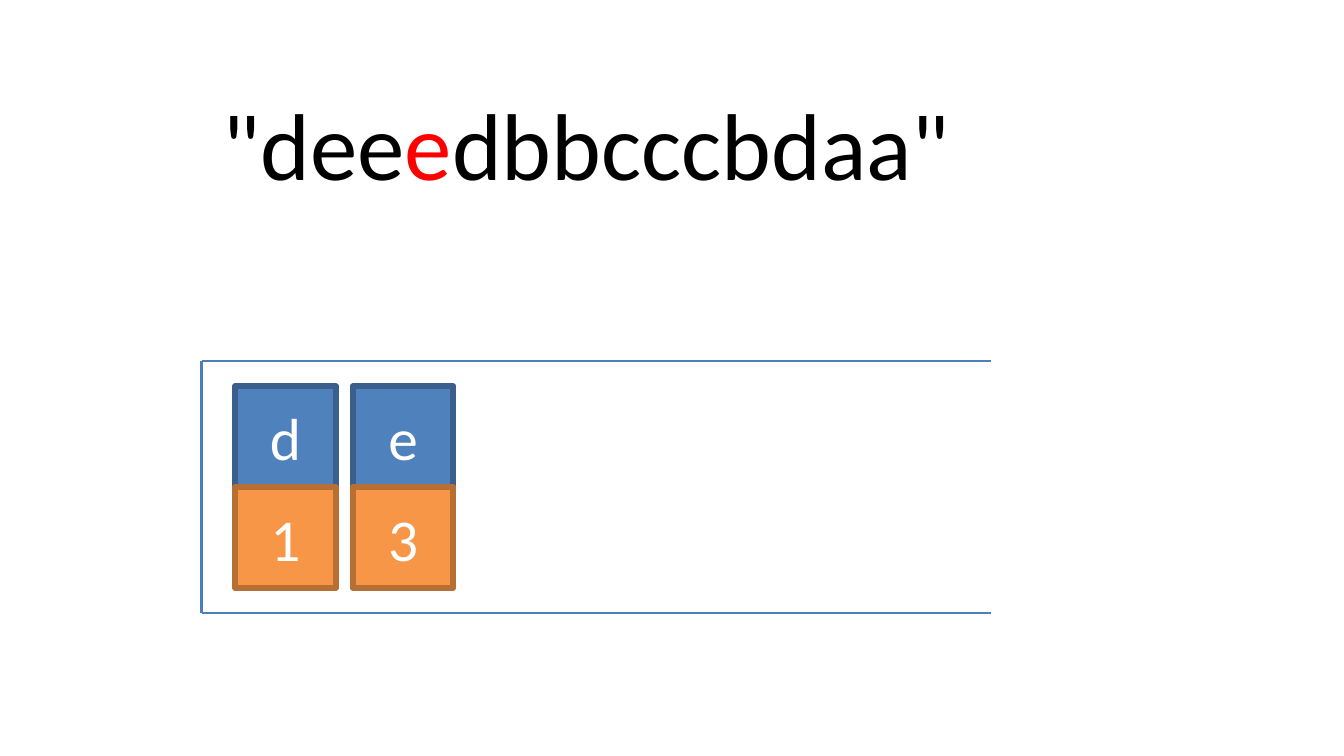
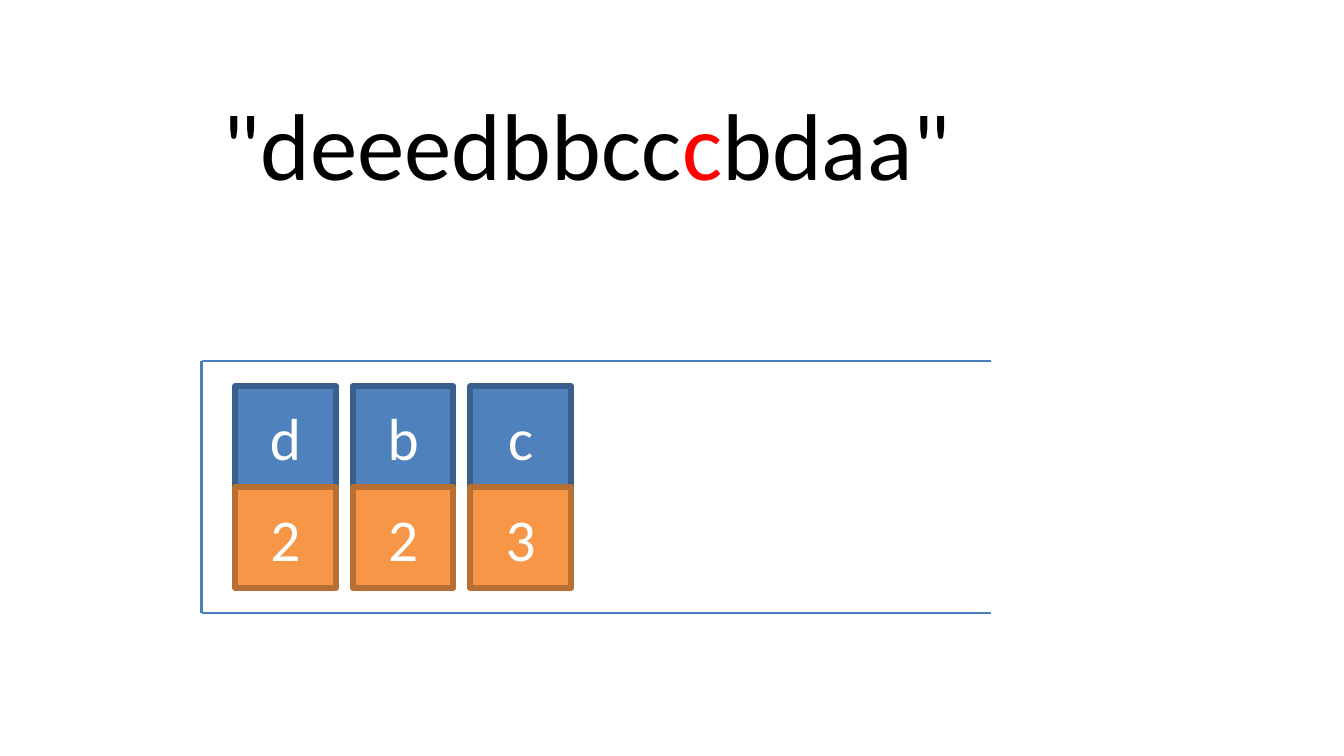
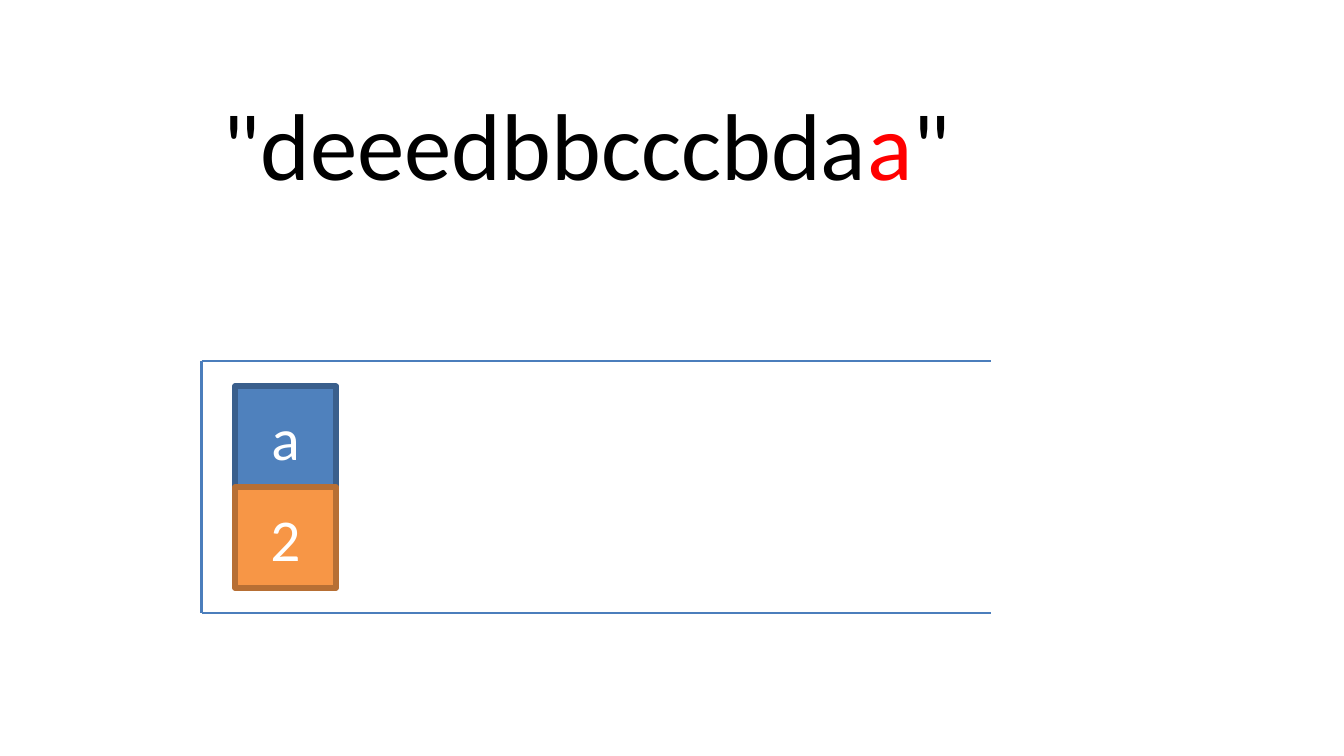
from dataclasses import dataclass

from lxml import etree
from pptx import Presentation
from pptx.dml.color import RGBColor
from pptx.enum.shapes import MSO_CONNECTOR, MSO_SHAPE
from pptx.enum.text import MSO_ANCHOR, MSO_AUTO_SIZE, PP_ALIGN
from pptx.oxml.ns import qn
from pptx.util import Inches, Pt

RECTANGLE = MSO_SHAPE.RECTANGLE
STRAIGHT = MSO_CONNECTOR.STRAIGHT
MIDDLE = MSO_ANCHOR.MIDDLE
CENTER = PP_ALIGN.CENTER
GROW_TO_FIT = MSO_AUTO_SIZE.SHAPE_TO_FIT_TEXT
BLANK_LAYOUT = 6


@dataclass(frozen=True)
class Theme:
    """Font, colours, type sizes and line widths of all slides."""
    font: str = "Calibri"
    text: str = "000000"
    current: str = "FF0000"
    cell_text: str = "FFFFFF"
    letter_fill: str = "4F81BD"
    letter_line: str = "3A5F8C"
    count_fill: str = "F79646"
    count_line: str = "B76F34"
    frame: str = "4B7EBC"
    string_size: int = 32
    cell_size: int = 20
    cell_line_width: float = 2
    frame_width: float = 0.75


THEME = Theme()

# The slide is 16:9, on a grid of 80 by 45 square units
SLIDE_WIDTH = 6.3
GRID_COLUMNS, GRID_ROWS = 80, 45

# Places and lengths in grid units
STRING_TOP, STRING_WIDTH, STRING_HEIGHT = 4.5, 52, 8.16
FRAME_LEFT, FRAME_RIGHT = 12, 59
FRAME_TOP, FRAME_BOTTOM = 21.5, 36.5
STACK_LEFT, STACK_TOP = 14, 23
CELL_SIDE = 6
COLUMN_STEP = 7

STRING = "deeedbbcccbdaa"
# Index of the current letter, then the (letter, count) pairs on the stack
STEPS = [
    (3, [("d", 1), ("e", 3)]),
    (9, [("d", 2), ("b", 2), ("c", 3)]),
    (13, [("a", 2)]),
]


def grid(*units):
    """Turn grid units into lengths."""
    return [Inches(unit * SLIDE_WIDTH / GRID_COLUMNS) for unit in units]


def add_run(paragraph, text, size, color):
    """Append one run of text in the theme font."""
    run = paragraph.add_run()
    run.text = text
    run.font.name = THEME.font
    run.font.size = Pt(size)
    run.font.color.rgb = RGBColor.from_string(color)


def add_string(slide, current):
    """Write the quoted string with its current letter highlighted."""
    box = slide.shapes.add_textbox(
        *grid(FRAME_LEFT, STRING_TOP, STRING_WIDTH, STRING_HEIGHT))
    frame = box.text_frame
    frame.word_wrap = True
    frame.auto_size = GROW_TO_FIT
    paragraph = frame.paragraphs[0]
    add_run(paragraph, '"' + STRING[:current], THEME.string_size, THEME.text)
    add_run(paragraph, STRING[current], THEME.string_size, THEME.current)
    add_run(paragraph, STRING[current + 1:] + '"', THEME.string_size, THEME.text)


def add_line(slide, start, end):
    """Draw one straight frame line between two points."""
    line = slide.shapes.add_connector(STRAIGHT, *grid(*start, *end))
    line.line.color.rgb = RGBColor.from_string(THEME.frame)
    line.line.width = Pt(THEME.frame_width)
    etree.SubElement(line._element.spPr, qn("a:effectLst"))


def add_stack_frame(slide):
    """Draw the stack's frame, open on the right."""
    top_left, bottom_left = (FRAME_LEFT, FRAME_TOP), (FRAME_LEFT, FRAME_BOTTOM)
    add_line(slide, top_left, (FRAME_RIGHT, FRAME_TOP))
    add_line(slide, bottom_left, (FRAME_RIGHT, FRAME_BOTTOM))
    add_line(slide, top_left, bottom_left)


def add_cell(slide, left, top, text, fill, line):
    """Draw one square cell with centred text."""
    cell = slide.shapes.add_shape(
        RECTANGLE, *grid(left, top, CELL_SIDE, CELL_SIDE))
    cell.shadow.inherit = False
    cell.fill.solid()
    cell.fill.fore_color.rgb = RGBColor.from_string(fill)
    cell.line.color.rgb = RGBColor.from_string(line)
    cell.line.width = Pt(THEME.cell_line_width)
    cell.text_frame.vertical_anchor = MIDDLE
    paragraph = cell.text_frame.paragraphs[0]
    paragraph.alignment = CENTER
    add_run(paragraph, text, THEME.cell_size, THEME.cell_text)


def add_stack(slide, pairs):
    """Draw each pair as a letter cell above a count cell."""
    for column, (letter, count) in enumerate(pairs):
        left = STACK_LEFT + column * COLUMN_STEP
        add_cell(slide, left, STACK_TOP, letter,
                 THEME.letter_fill, THEME.letter_line)
        add_cell(slide, left, STACK_TOP + CELL_SIDE, str(count),
                 THEME.count_fill, THEME.count_line)


def main():
    """Build one slide per step and save the presentation."""
    presentation = Presentation()
    presentation.slide_width, presentation.slide_height = grid(
        GRID_COLUMNS, GRID_ROWS)
    for current, pairs in STEPS:
        slide = presentation.slides.add_slide(
            presentation.slide_layouts[BLANK_LAYOUT])
        add_string(slide, current)
        add_stack_frame(slide)
        add_stack(slide, pairs)
    presentation.save("out.pptx")


main()
